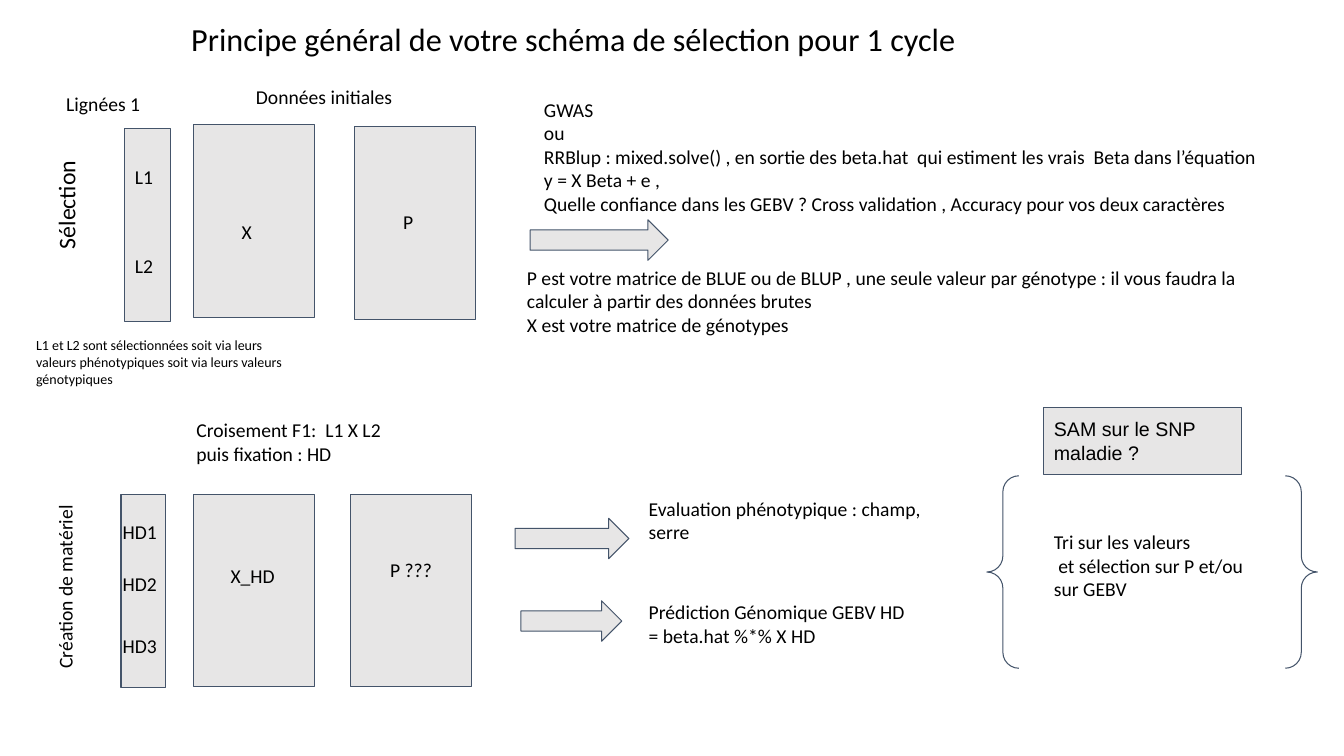
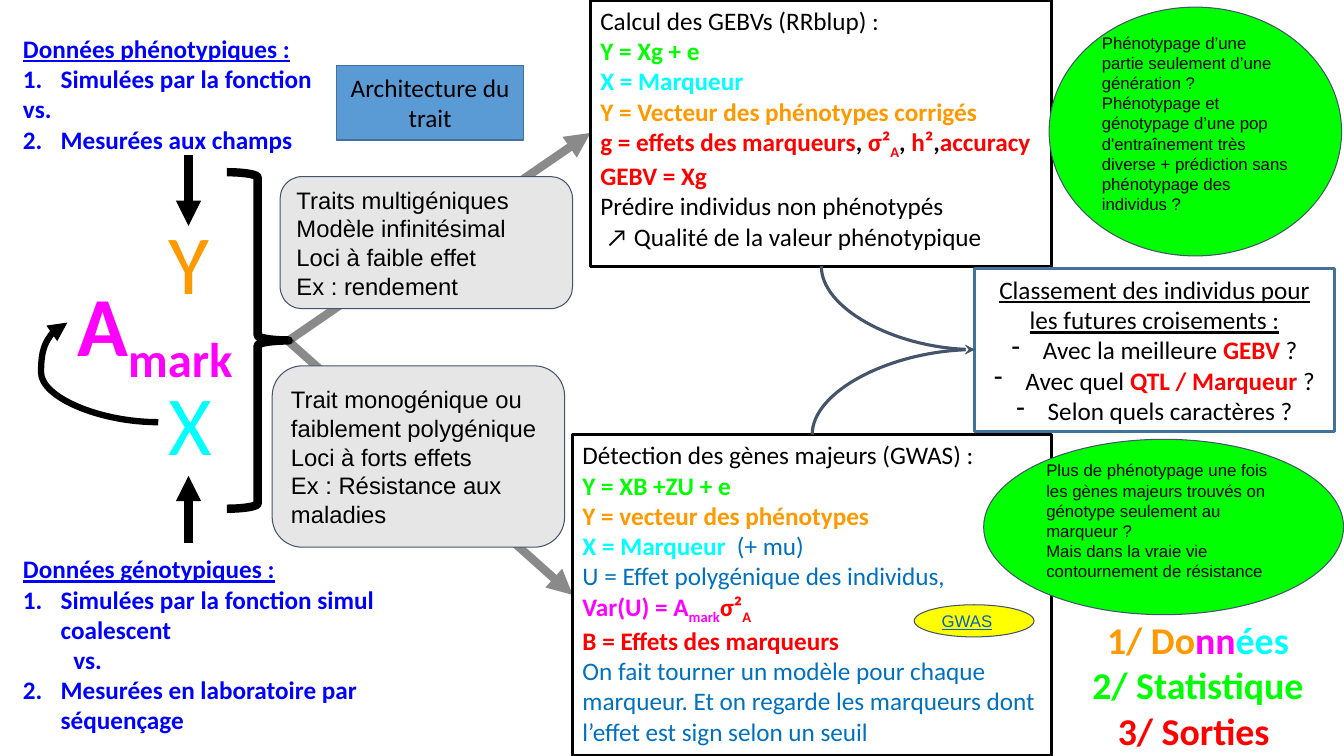
from dataclasses import dataclass
from lxml.etree import SubElement
from pptx import Presentation
from pptx.dml.color import RGBColor
from pptx.enum.shapes import MSO_CONNECTOR, MSO_SHAPE
from pptx.enum.text import MSO_ANCHOR, PP_ALIGN
from pptx.oxml.ns import qn
from pptx.util import Cm, Pt

COLORS = {
    "black": "000000", "white": "FFFFFF", "grey": "E7E6E6", "slate": "44546A",
    "blue": "0000FF", "sky": "5B9BD5", "steel": "42719B", "note": "0070C0",
    "link": "0563C1", "orange": "FF9900", "cyan": "00FFFF", "green": "00FF00",
    "magenta": "FF00FF", "red": "FF0000", "yellow": "FFFF00",
}
WIDE = (0.25, 0.25, 0.25, 0.25)
FLAT = (0.25, 0.13, 0.25, 0.13)
LIST_INDENT = 0.95


@dataclass
class Para:
    """Runs are (text, colour, style); style letters: b bold, u underline, s subscript."""
    runs: list
    bullet: str = ""
    left: float = 0
    hang: float = 0


def rgb(name):
    return RGBColor.from_string(COLORS[name])


def plain(text, color="black", style=""):
    return Para([(text, color, style)])


def numbered(number, text):
    return Para([(text, "blue", "b")], number, LIST_INDENT, LIST_INDENT)


def dashed(*runs):
    return Para(list(runs), "-", 0.79, 0.79)


# Text
def set_bullet(p, para):
    pPr = p._p.get_or_add_pPr()
    pPr.set("marL", str(Cm(para.left)))
    pPr.set("indent", str(-Cm(para.hang)))
    if para.bullet == "-":
        SubElement(pPr, qn("a:buChar"), char="-")
    elif para.bullet:
        SubElement(pPr, qn("a:buAutoNum"), type="arabicPeriod", startAt=para.bullet)


def add_run(p, text, color, style, size, font):
    r = p.add_run()
    r.text = text
    r.font.name, r.font.size = font, Pt(size)
    r.font.color.rgb = rgb(color)
    r.font.bold = "b" in style
    r.font.underline = "u" in style
    if "s" in style:
        r._r.get_or_add_rPr().set("baseline", "-25000")


def fill_text(sp, paras, size=14, font="Calibri", align=PP_ALIGN.LEFT,
              anchor=MSO_ANCHOR.TOP, insets=WIDE):
    tf = sp.text_frame
    tf.word_wrap = True
    tf.vertical_anchor = anchor
    tf.margin_left, tf.margin_top, tf.margin_right, tf.margin_bottom = map(Cm, insets)
    for i, para in enumerate(paras):
        para = plain(para) if isinstance(para, str) else para
        p = tf.paragraphs[0] if i == 0 else tf.add_paragraph()
        p.alignment = align
        if para.left:
            set_bullet(p, para)
        for run in para.runs:
            add_run(p, *run, size, font)


def add_text(s, at, *paras, rotation=0, **style):
    sp = s.shapes.add_textbox(*map(Cm, at))
    sp.rotation = rotation
    fill_text(sp, paras, **style)


# Shapes and lines
def add_box(s, at, *paras, kind=MSO_SHAPE.RECTANGLE, fill="grey", line="slate",
            width=0.75, adjust=None, **style):
    sp = s.shapes.add_shape(kind, *map(Cm, at))
    sp.shadow.inherit = False
    if fill:
        sp.fill.solid()
        sp.fill.fore_color.rgb = rgb(fill)
    else:
        sp.fill.background()
    sp.line.color.rgb = rgb(line)
    sp.line.width = Pt(width)
    if adjust:
        sp.adjustments[0] = adjust
    if paras:
        fill_text(sp, paras, **style)


def add_ellipse(s, at, fill, *paras, insets=WIDE, color="black", style=""):
    add_box(s, at, *(plain(t, color, style) for t in paras), kind=MSO_SHAPE.OVAL,
            fill=fill, size=12, font="Arial", anchor=MSO_ANCHOR.MIDDLE, insets=insets)


def add_line(s, start, end, width=6, color="black", kind=MSO_CONNECTOR.STRAIGHT,
             tip="tailEnd", head="triangle", alpha=None):
    sp = s.shapes.add_connector(kind, *map(Cm, start + end))
    sp.line.color.rgb = rgb(color)
    sp.line.width = Pt(width)
    ln = sp.line._ln
    if alpha:
        SubElement(ln.find(".//" + qn("a:srgbClr")), qn("a:alpha"), val=str(alpha * 1000))
    SubElement(ln, qn("a:" + tip), type=head)
    SubElement(sp._element.spPr, qn("a:effectLst"))
    return sp


def add_curve(s, start, end, preset, adjust=None, **style):
    sp = add_line(s, start, end, kind=MSO_CONNECTOR.CURVE, **style)
    geom = sp._element.spPr.find(qn("a:prstGeom"))
    geom.set("prst", preset)
    if adjust:
        SubElement(geom.find(qn("a:avLst")), qn("a:gd"), name="adj1", fmla=f"val {adjust}")


def scheme_slide(s):
    add_text(s, (4.57, 0.23, 24.23, 1.5),
             "Principe général de votre schéma de sélection pour 1 cycle", size=23)

    # Matrices
    for x, y, w in ((3.15, 3.25, 1.14), (4.88, 3.15, 3.05), (8.94, 3.2, 3.05),
                    (3.05, 12.47, 1.12), (4.88, 12.45, 3.05), (8.84, 12.45, 3.05)):
        add_box(s, (x, y, w, 4.85))
    for x, y, w, label in (
            (5.84, 5.28, 1.1, "X"), (9.91, 5.03, 1.14, "P"),
            (5.56, 13.97, 1.8, "X_HD"), (9.58, 13.82, 1.9, "P ???"),
            (3.15, 3.91, 1.14, "L1"), (3.15, 6.15, 1.14, "L2"),
            (2.84, 12.85, 1.6, "HD1"), (2.84, 14.15, 1.6, "HD2"), (2.84, 15.72, 1.6, "HD3"),
            (1.42, 2.06, 2.87, "Lignées 1"), (6.2, 1.88, 4.14, "Données initiales")):
        add_text(s, (x, y, w, 1.12), label)

    # Stage names
    add_text(s, (0.08, 4.32, 3.18, 1.24), "Sélection", size=17, rotation=270)
    add_text(s, (-0.74, 14.15, 4.78, 1.12), "Création de matériel", rotation=270)

    # Arrows and braces
    for x, y, w in ((13.36, 5.54, 3.48), (12.98, 13.06, 2.87), (13.13, 15.14, 2.54)):
        add_box(s, (x, y, w, 1.02), kind=MSO_SHAPE.RIGHT_ARROW)
    add_box(s, (24.87, 11.99, 8.33, 4.85), kind=MSO_SHAPE.DOUBLE_BRACE, fill=None)

    # Explanations
    add_text(s, (13.46, 2.21, 19.43, 3.51), "GWAS", "ou",
             "RRBlup : mixed.solve() , en sortie des beta.hat  qui estiment les vrais  "
             "Beta dans l’équation",
             "y = X Beta + e ,",
             "Quelle confiance dans les GEBV ? Cross validation , Accuracy pour vos deux caractères")
    add_text(s, (13.03, 6.45, 19.23, 2.31),
             "P est votre matrice de BLUE ou de BLUP , une seule valeur par génotype : "
             "il vous faudra la calculer à partir des données brutes",
             "X est votre matrice de génotypes")
    add_text(s, (0.66, 8.23, 7.26, 1.8),
             "L1 et L2 sont sélectionnées soit via leurs valeurs phénotypiques "
             "soit via leurs valeurs génotypiques", size=10)
    add_text(s, (4.7, 10.29, 13.59, 1.7), "Croisement F1:  L1 X L2", "puis fixation : HD")
    add_text(s, (16.1, 12.27, 8.15, 1.7), "Evaluation phénotypique : champ, serre")
    add_text(s, (16.1, 14.88, 6.99, 1.7), "Prédiction Génomique GEBV HD = beta.hat %*% X HD")
    add_text(s, (26.31, 13.11, 5.44, 2.31), "Tri sur les valeurs",
             " et sélection sur P et/ou sur GEBV")
    add_box(s, (26.31, 10.26, 4.98, 1.7), "SAM sur le SNP maladie ?",
            font="Arial", anchor=MSO_ANCHOR.MIDDLE)


def methods_slide(s):
    body = dict(size=18, insets=FLAT)
    centred = dict(body, align=PP_ALIGN.CENTER, anchor=MSO_ANCHOR.MIDDLE)

    # Paths to the two methods
    for end in ((14.88, 3.35), (14.43, 14.99)):
        add_line(s, (7.26, 8.59), end, alpha=45)

    # Data, left
    add_text(s, (3.99, 5.18, 1.55, 2.82), plain("Y", "orange"), size=60, insets=FLAT)
    add_text(s, (3.99, 9.22, 1.63, 2.82), plain("X", "cyan"), size=60, insets=FLAT)
    add_line(s, (4.75, 3.91), (4.75, 5.69))
    add_box(s, (5.72, 4.34, 1.55, 8.48), kind=MSO_SHAPE.RIGHT_BRACE, fill=None,
            line="black", width=6, adjust=0.083)
    add_text(s, (0.33, 0.71, 9.68, 3.33),
             plain("Données phénotypiques :", "blue", "bu"),
             numbered("1", "Simulées par la fonction"),
             plain("vs.", "blue", "b"),
             numbered("2", "Mesurées aux champs"), **body)
    add_text(s, (0.33, 13.82, 9.68, 5.23),
             plain("Données génotypiques :", "blue", "bu"),
             numbered("1", "Simulées par la fonction simul coalescent"),
             Para([("vs.", "blue", "b")], left=1.27),
             numbered("2", "Mesurées en laboratoire par séquençage"), **body)

    # Method boxes
    frame = dict(body, fill=None, line="black", width=2.25)
    add_box(s, (14.88, 0, 11.63, 6.71),
            "Calcul des GEBVs (RRblup) :",
            plain("Y = Xg + e", "green", "b"),
            plain("X = Marqueur", "cyan", "b"),
            plain("Y = Vecteur des phénotypes corrigés", "orange", "b"),
            Para([("g = effets des marqueurs", "red", "b"), (",", "black", "b"),
                  (" σ²", "red", "b"), ("A", "red", "bs"), (",", "black", "b"),
                  (" h²", "red", "b"), (",", "black", "b"), ("accuracy", "red", "b")]),
            plain("GEBV = Xg", "red", "b"),
            "Prédire individus non phénotypés",
            " ↗ Qualité de la valeur phénotypique", **frame)
    add_box(s, (14.43, 10.95, 12.07, 8.08),
            "Détection des gènes majeurs (GWAS) :",
            plain("Y = XB +ZU + e", "green", "b"),
            plain("Y = vecteur des phénotypes", "orange", "b"),
            Para([("X = Marqueur", "cyan", "b"), ("  (+ mu)", "note", "")]),
            plain("U = Effet polygénique des individus,", "note"),
            Para([("Var(U) = A", "magenta", "b"), ("mark", "magenta", "bs"),
                  ("σ²", "red", "b"), ("A", "red", "bs")]),
            plain("B = Effets des marqueurs", "red", "b"),
            plain("On fait tourner un modèle pour chaque marqueur. Et on regarde les "
                  "marqueurs dont l’effet est sign selon un seuil", "note"), **frame)

    # Ranking
    add_box(s, (24.56, 6.76, 9.07, 4.11),
            plain("Classement des individus pour les futures croisements :", "black", "u"),
            dashed(("Avec la meilleure ", "black", ""), ("GEBV", "red", "b"), (" ?", "black", "")),
            dashed(("Avec quel ", "black", ""), ("QTL / Marqueur", "red", "b"),
                   (" ?", "black", "")),
            dashed(("Selon quels caractères ?", "black", "")),
            fill="white", line="steel", width=2.25, **centred)

    # Relationship matrix
    add_text(s, (1.7, 6.73, 4.55, 2.82),
             Para([("A", "magenta", "b"), ("mark", "magenta", "bs")]), size=60, insets=FLAT)
    add_line(s, (4.75, 13.69), (4.75, 11.99))
    add_curve(s, (3.99, 10.64), (1.7, 8.13), "curvedConnector3", 129000, width=4.5)

    # Trait architecture
    add_box(s, (8.48, 1.65, 4.72, 1.88), "Architecture du trait",
            fill="sky", line="steel", width=1, **centred)
    trait = dict(kind=MSO_SHAPE.ROUNDED_RECTANGLE, size=17, font="Arial",
                 anchor=MSO_ANCHOR.MIDDLE)
    add_box(s, (7.06, 4.45, 7.37, 3.33), "Traits multigéniques", "Modèle infinitésimal",
            "Loci à faible effet", "Ex : rendement", **trait)
    add_box(s, (6.86, 9.22, 7.37, 4.57), "Trait monogénique ou faiblement polygénique",
            "Loci à forts effets", "Ex : Résistance aux maladies", **trait)

    # Colour key
    add_text(s, (27, 15.29, 6.38, 3.74),
             Para([("1/ Do", "orange", "b"), ("nn", "magenta", "b"), ("ées", "cyan", "b")]),
             plain("2/ Statistique", "green", "b"), plain("3/ Sorties ", "red", "b"),
             size=27, align=PP_ALIGN.CENTER, insets=(0.25, 0.25, 0.25, 0))

    # Remarks
    add_ellipse(s, (26.44, 0.18, 7.37, 6.27), "green",
                "Phénotypage d’une partie seulement d’une génération ?",
                "Phénotypage et génotypage d’une pop d'entraînement très diverse + "
                "prédiction sans phénotypage des individus ?", insets=(0.25, 0.25, 0.25, 0.67))
    add_ellipse(s, (24.79, 11.07, 9.07, 4.42), "green",
                "Plus de phénotypage une fois les gènes majeurs trouvés on génotype "
                "seulement au marqueur ?",
                "Mais dans la vraie vie contournement de résistance",
                insets=(0.25, 0.25, 0.25, 0.57))
    add_ellipse(s, (23.04, 15.24, 3.02, 0.81), "yellow", "GWAS", color="link", style="u")

    # Both methods lead to the ranking
    for method in ((20.7, 6.71), (20.47, 10.95)):
        add_curve(s, (24.56, 8.81), method, "curvedConnector2", width=2.25,
                  color="slate", tip="headEnd", head="stealth")


def main():
    prs = Presentation()
    prs.slide_width, prs.slide_height = Cm(33.87), Cm(19.05)
    for build in (scheme_slide, methods_slide):
        build(prs.slides.add_slide(prs.slide_layouts[6]))
    prs.save("out.pptx")


main()
